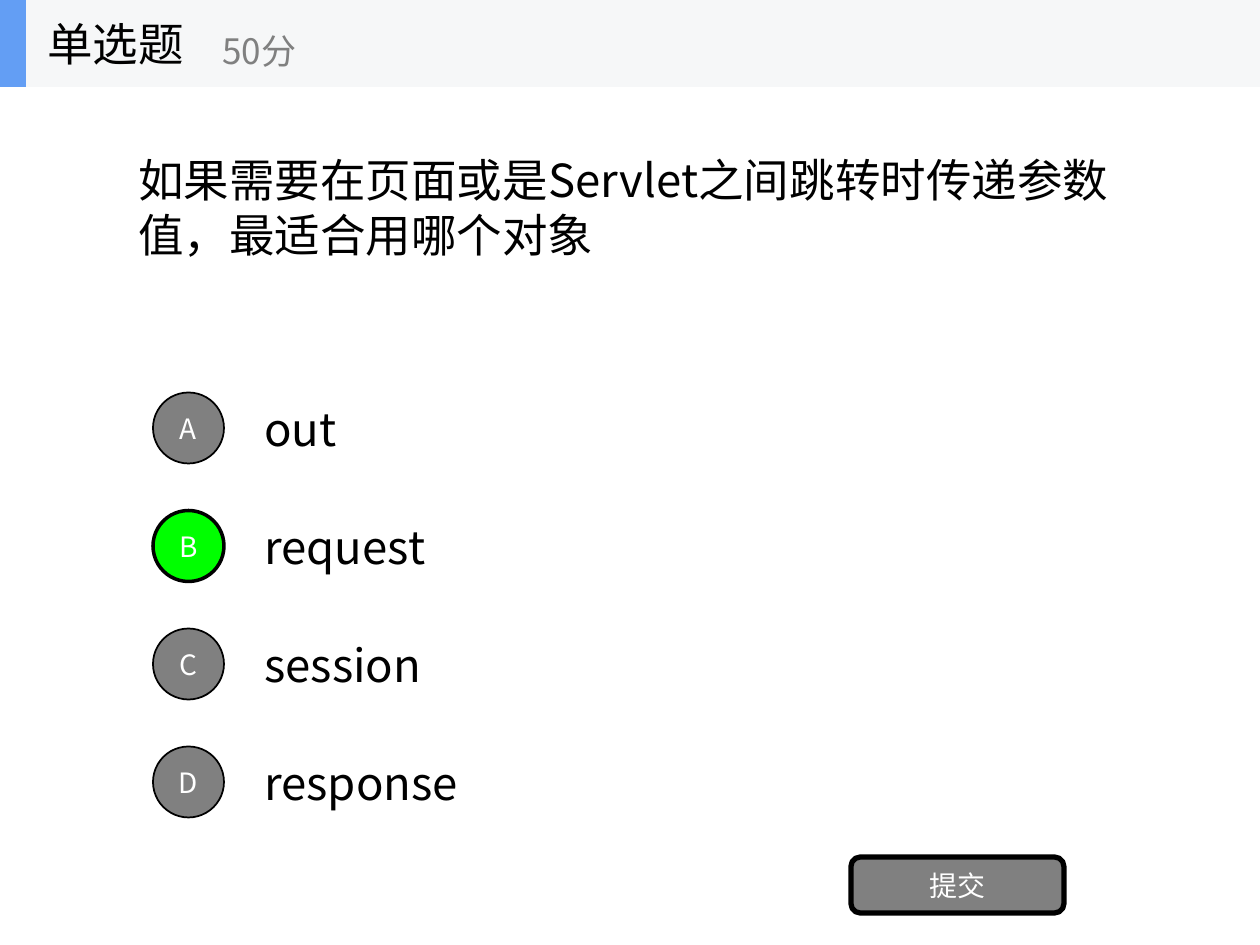
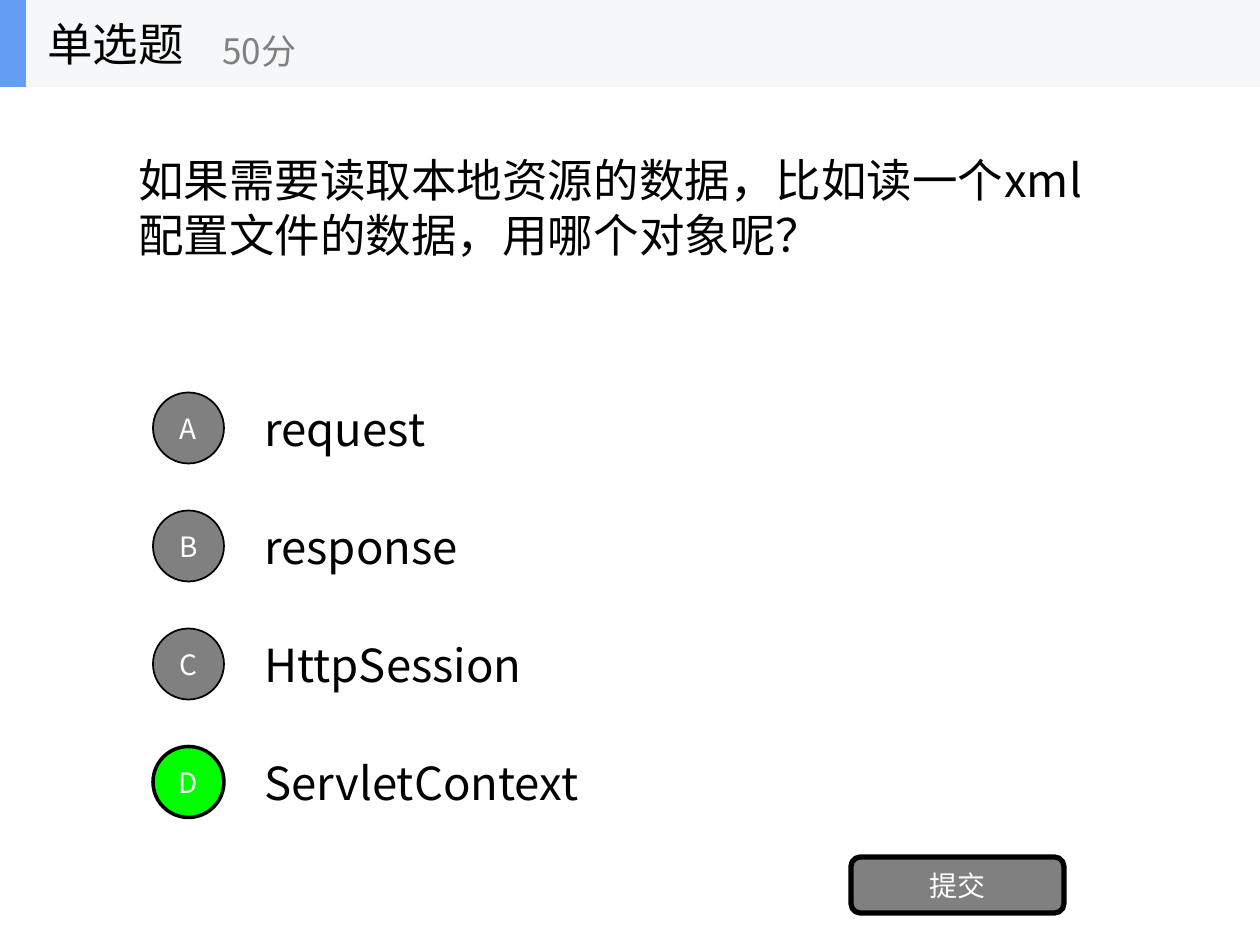
import pptx
import pptx.util
import pptx.dml.color
import pptx.enum.shapes
import pptx.enum.text
import pptx.oxml.ns
from lxml import etree

QUESTIONS = [
    {
        "text": "如果需要在页面或是Servlet之间跳转时传递参数值，最适合用哪个对象",
        "options": ["out", "request", "session", "response"],
        "answer": "B",
    },
    {
        "text": "如果需要读取本地资源的数据，比如读一个xml配置文件的数据，用哪个对象呢？",
        "options": ["request", "response", "HttpSession", "ServletContext"],
        "answer": "D",
    },
]
KIND, SCORE, SUBMIT = "单选题", "50分", "提交"

FONT = "Noto Sans CJK SC"
COLORS = {
    "text": "000000",
    "outline": "000000",
    "on_fill": "FFFFFF",
    "grey": "808080",
    "correct": "00FF00",
    "band": "F6F7F8",
    "accent": "639EF4",
}
BODY_PT, SCORE_PT, LABEL_PT = 26, 20, 16

# Lengths in px, 126 to the inch
SLIDE_W, SLIDE_H = 1260, 945
BAND_H = 87
ROW_TOP, ROW_PITCH, ROW_H = 384, 118, 88
BADGE_X, BADGE_SIZE = 153, 71
OPTION_X, OPTION_W = 252, 882

SHAPE = pptx.enum.shapes.MSO_SHAPE
ALIGN = pptx.enum.text.PP_ALIGN


def px(n):
    return round(n * 914400 / 126)


def rgb(name):
    return pptx.dml.color.RGBColor.from_string(COLORS[name])


def write(s, text, size, color, align=ALIGN.LEFT):
    tf = s.text_frame
    tf.word_wrap = True
    tf.vertical_anchor = pptx.enum.text.MSO_ANCHOR.MIDDLE
    p = tf.paragraphs[0]
    p.text = text
    p.alignment = align
    p.font.size = pptx.util.Pt(size)
    p.font.name = FONT
    p.font.color.rgb = rgb(color)
    # The East Asian typeface has no public setter
    props = p.font._element
    etree.SubElement(props, pptx.oxml.ns.qn("a:ea"), typeface=FONT)


def add_text(shapes, box, text, size=BODY_PT, color="text"):
    write(shapes.add_textbox(*map(px, box)), text, size, color)


def add_box(shapes, kind, box, fill, line_pt=0):
    s = shapes.add_shape(kind, *map(px, box))
    s.shadow.inherit = False
    s.fill.solid()
    s.fill.fore_color.rgb = rgb(fill)
    if line_pt:
        s.line.color.rgb = rgb("outline")
        s.line.width = pptx.util.Pt(line_pt)
    else:
        s.line.fill.background()
    return s


def add_button(shapes, kind, box, label, fill, line_pt):
    s = add_box(shapes, kind, box, fill, line_pt)
    s.text_frame.margin_left = s.text_frame.margin_right = 0
    write(s, label, LABEL_PT, "on_fill", ALIGN.CENTER)


def add_header(shapes):
    group = shapes.add_group_shape().shapes
    add_box(group, SHAPE.RECTANGLE, (0, 0, SLIDE_W, BAND_H), "band")
    add_box(group, SHAPE.RECTANGLE, (0, 0, 26, BAND_H), "accent")
    add_text(group, (35, 0, 262, BAND_H), KIND)
    add_text(group, (210, 15, 315, 71), SCORE, SCORE_PT, "grey")


def add_question(prs, question):
    shapes = prs.slides.add_slide(prs.slide_layouts[6]).shapes
    add_text(shapes, (126, 59, 1008, 295), question["text"])
    for i, (letter, option) in enumerate(zip("ABCD", question["options"])):
        top = ROW_TOP + i * ROW_PITCH
        badge_top = top + (ROW_H - BADGE_SIZE) / 2
        fill, line_pt = ("correct", 2) if letter == question["answer"] else ("grey", 1)
        add_text(shapes, (OPTION_X, top, OPTION_W, ROW_H), option)
        add_button(shapes, SHAPE.OVAL, (BADGE_X, badge_top, BADGE_SIZE, BADGE_SIZE),
                   letter, fill, line_pt)
    add_button(shapes, SHAPE.ROUNDED_RECTANGLE, (851, 857, 213, 56), SUBMIT, "grey", 3)
    add_header(shapes)


def main():
    prs = pptx.Presentation()
    prs.slide_width, prs.slide_height = px(SLIDE_W), px(SLIDE_H)
    for question in QUESTIONS:
        add_question(prs, question)
    prs.save("out.pptx")


if __name__ == "__main__":
    main()
